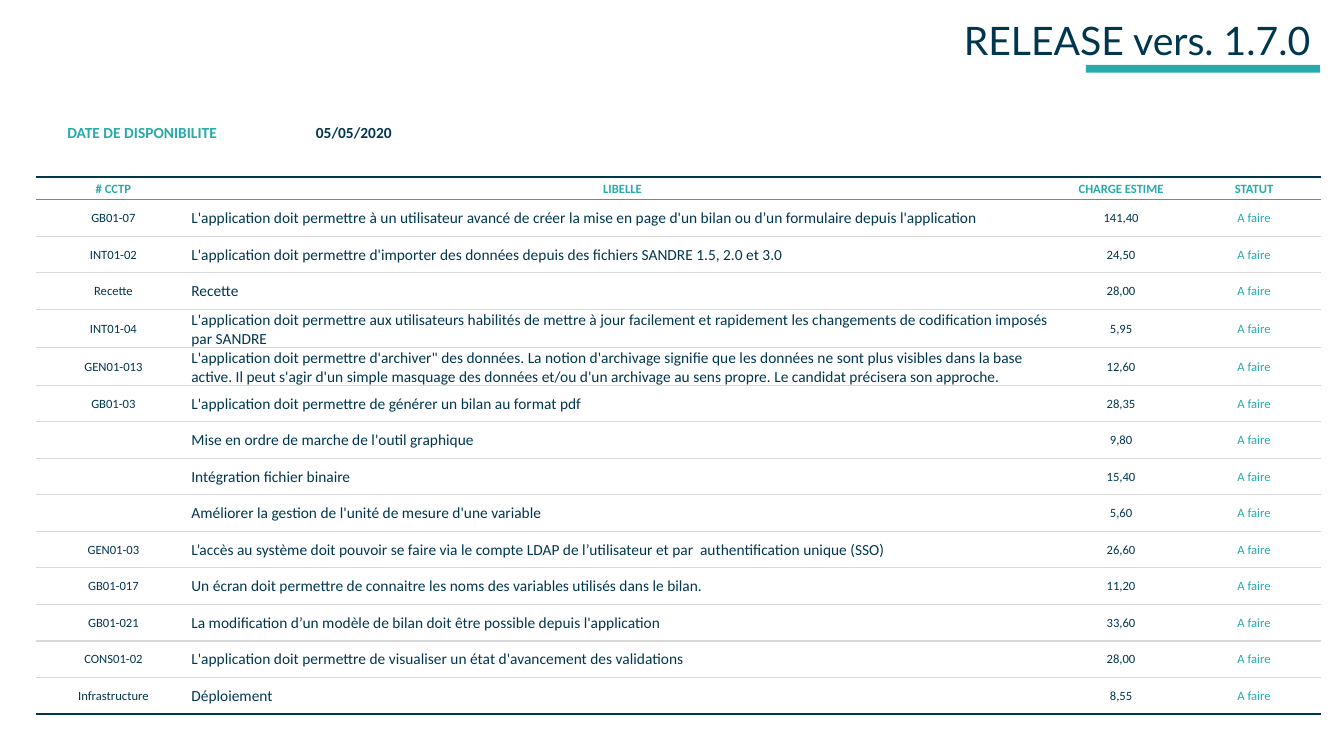
import dataclasses
import pptx
import pptx.dml.color
import pptx.enum.shapes
import pptx.enum.text
import pptx.oxml
import pptx.oxml.ns
import pptx.util

Pt = pptx.util.Pt
Align = pptx.enum.text.PP_ALIGN
Anchor = pptx.enum.text.MSO_ANCHOR


@dataclasses.dataclass(frozen=True)
class Theme:
    navy: str = "00374F"
    teal: str = "28AAAD"
    grey: str = "D9D9D9"
    white: str = "FFFFFF"
    title_font: str = "Lato"
    body_font: str = "Calibri"
    title_size: float = 28
    body_size: float = 11
    small_size: float = 9
    thin: float = 1
    thick: float = 2.25


THEME = Theme()
TABLE_LEFT = 26
HEADERS = ["# CCTP", "LIBELLE", "CHARGE ESTIME", "STATUT"]
COLUMN_WIDTHS = [110, 617.3, 95, 95]
HEADER_HEIGHT = 16.2
ROW_HEIGHT = 26.1
STATUS = "A faire"
REQUIREMENTS = [
    ("GB01-07", "L'application doit permettre à un utilisateur avancé de créer la mise en page d'un bilan "
     "ou d’un formulaire depuis l'application", "141,40"),
    ("INT01-02", "L'application doit permettre d'importer des données depuis des fichiers SANDRE 1.5, 2.0 et 3.0",
     "24,50"),
    ("Recette", "Recette", "28,00"),
    ("INT01-04", "L'application doit permettre aux utilisateurs habilités de mettre à jour facilement et "
     "rapidement les changements de codification imposés par SANDRE", "5,95"),
    ("GEN01-013", "L'application doit permettre d'archiver\" des données. La notion d'archivage signifie que les "
     "données ne sont plus visibles dans la base active. Il peut s'agir d'un simple masquage des données "
     "et/ou d'un archivage au sens propre. Le candidat précisera son approche.", "12,60"),
    ("GB01-03", "L'application doit permettre de générer un bilan au format pdf", "28,35"),
    ("", "Mise en ordre de marche de l'outil graphique", "9,80"),
    ("", "Intégration fichier binaire", "15,40"),
    ("", "Améliorer la gestion de l'unité de mesure d'une variable", "5,60"),
    ("GEN01-03", "L’accès au système doit pouvoir se faire via le compte LDAP de l’utilisateur et par  "
     "authentification unique (SSO)", "26,60"),
    ("GB01-017", "Un écran doit permettre de connaitre les noms des variables utilisés dans le bilan.", "11,20"),
    ("GB01-021", "La modification d’un modèle de bilan doit être possible depuis l'application", "33,60"),
    ("CONS01-02", "L'application doit permettre de visualiser un état d'avancement des validations", "28,00"),
    ("Infrastructure", "Déploiement", "8,55"),
]


def rgb(color):
    return pptx.dml.color.RGBColor.from_string(color)


def write(frame, text, font, size, color, bold=False, align=Align.CENTER):
    frame.text = text
    para = frame.paragraphs[0]
    para.alignment = align
    for span in para.runs:
        span.font.name = font
        span.font.size = Pt(size)
        span.font.bold = bold
        span.font.color.rgb = rgb(color)


def set_borders(cell, top=None, bottom=None):
    borders = {"lnL": None, "lnR": None, "lnT": top, "lnB": bottom}
    properties = cell._tc.get_or_add_tcPr()
    for position, (tag, border) in enumerate(borders.items()):
        color, width = border or (None, 0)
        fill = f'<a:solidFill><a:srgbClr val="{color}"/></a:solidFill>' if border else "<a:noFill/>"
        line = pptx.oxml.parse_xml(
            f'<a:{tag} {pptx.oxml.ns.nsdecls("a")} w="{int(Pt(width))}">{fill}</a:{tag}>')
        properties.insert(position, line)


def fill_cell(cell, text, size, color, bold=False, align=Align.CENTER, top=None, bottom=None):
    cell.margin_left = cell.margin_right = cell.margin_top = Pt(0.72)
    cell.margin_bottom = Pt(0)
    cell.vertical_anchor = Anchor.MIDDLE
    cell.fill.solid()
    cell.fill.fore_color.rgb = rgb(THEME.white)
    set_borders(cell, top, bottom)
    write(cell.text_frame, text, THEME.body_font, size, color, bold, align)


def add_grid(page, top, widths, heights):
    frame = page.shapes.add_table(
        len(heights), len(widths), Pt(TABLE_LEFT), Pt(top), Pt(sum(widths)), Pt(sum(heights)))
    table = frame.table
    table.first_row = False
    table.horz_banding = False
    for column, width in zip(table.columns, widths):
        column.width = Pt(width)
    for row, height in zip(table.rows, heights):
        row.height = Pt(height)
    return table


def add_title(page):
    box = page.shapes.add_textbox(Pt(183), Pt(0), Pt(760), Pt(49))
    frame = box.text_frame
    frame.word_wrap = True
    frame.vertical_anchor = Anchor.BOTTOM
    write(frame, "RELEASE vers. 1.7.0", THEME.title_font, THEME.title_size, THEME.navy, align=Align.RIGHT)
    frame.paragraphs[0].line_spacing = 0.9


def add_title_bar(page):
    bar = page.shapes.add_shape(
        pptx.enum.shapes.MSO_SHAPE.RECTANGLE, Pt(775.7), Pt(46.3), Pt(167.3), Pt(5.6))
    bar.shadow.inherit = False
    bar.fill.solid()
    bar.fill.fore_color.rgb = rgb(THEME.teal)
    bar.line.fill.background()


def add_requirements(page):
    heights = [HEADER_HEIGHT] + [ROW_HEIGHT] * len(REQUIREMENTS)
    table = add_grid(page, 126.5, COLUMN_WIDTHS, heights)
    outer = (THEME.navy, THEME.thick)
    header_rule = (THEME.teal, THEME.thin)
    row_rule = (THEME.grey, THEME.thin)
    for column, header in enumerate(HEADERS):
        fill_cell(table.cell(0, column), header, THEME.small_size, THEME.teal, True,
                  top=outer, bottom=header_rule)
    styles = [
        (THEME.small_size, THEME.navy, False, Align.CENTER),
        (THEME.body_size, THEME.navy, False, Align.LEFT),
        (THEME.small_size, THEME.navy, False, Align.CENTER),
        (THEME.small_size, THEME.teal, False, Align.CENTER),
    ]
    for row, requirement in enumerate(REQUIREMENTS, 1):
        top = header_rule if row == 1 else row_rule
        bottom = outer if row == len(REQUIREMENTS) else row_rule
        for column, (text, style) in enumerate(zip((*requirement, STATUS), styles)):
            fill_cell(table.cell(row, column), text, *style, top=top, bottom=bottom)


def add_release_date(page):
    table = add_grid(page, 80, [151.2, 151.2], [29.5])
    entries = [("DATE DE DISPONIBILITE", THEME.teal), ("05/05/2020", THEME.navy)]
    for column, (text, color) in enumerate(entries):
        fill_cell(table.cell(0, column), text, THEME.body_size, color, True)


def main():
    deck = pptx.Presentation()
    deck.slide_width = Pt(960)
    deck.slide_height = Pt(540)
    page = deck.slides.add_slide(deck.slide_layouts[6])
    add_title_bar(page)
    add_title(page)
    add_requirements(page)
    add_release_date(page)
    deck.save("out.pptx")


if __name__ == "__main__":
    main()
